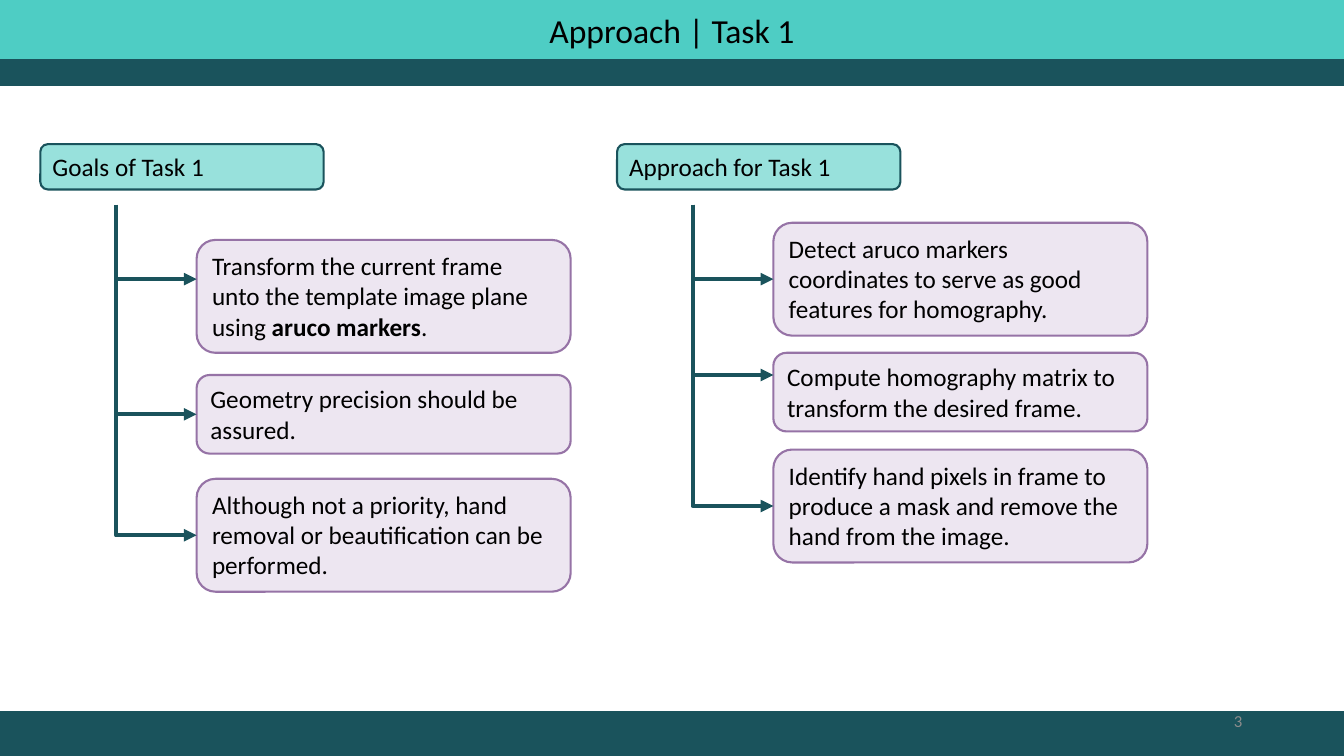
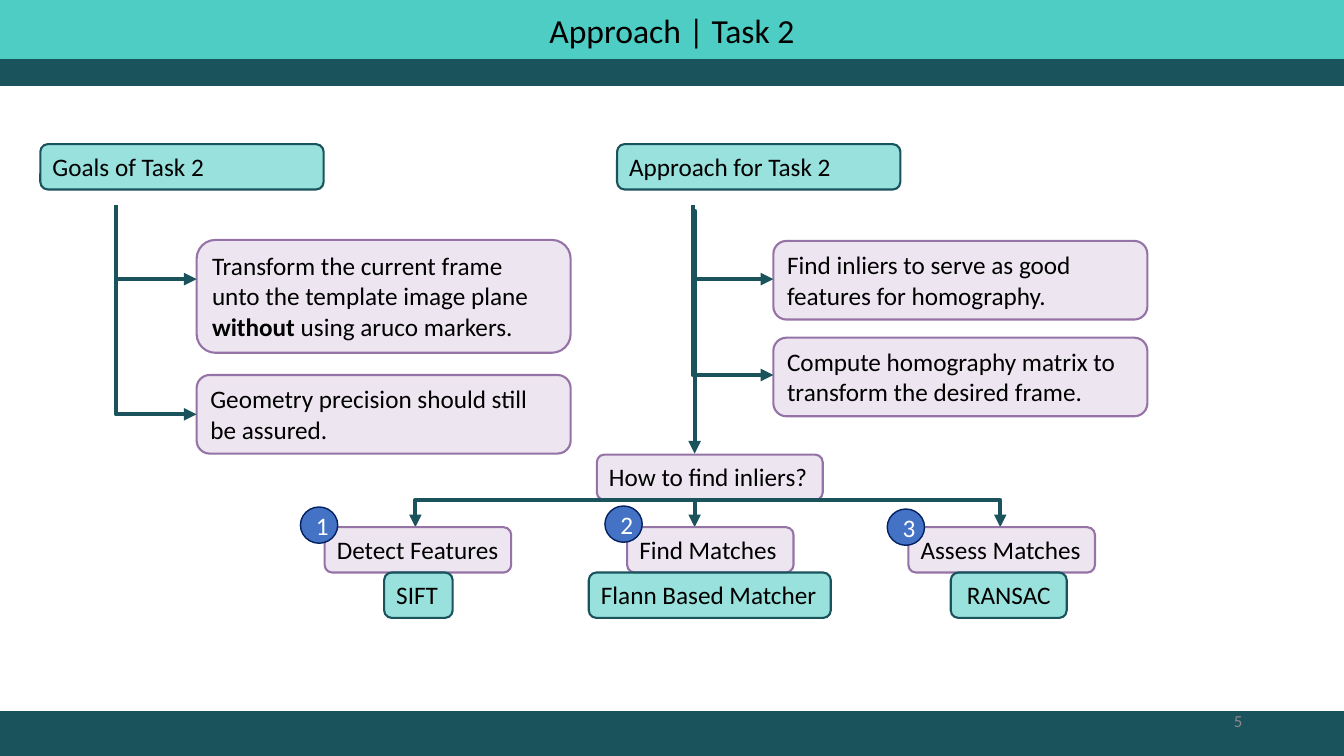
from pptx import Presentation
from pptx.dml.color import RGBColor as Rgb
from pptx.enum.shapes import MSO_CONNECTOR as Link, MSO_SHAPE as Kind
from pptx.enum.text import MSO_ANCHOR as Anchor, MSO_AUTO_SIZE as Fit, PP_ALIGN as Align
from pptx.oxml.ns import qn
from pptx.oxml.xmlchemy import OxmlElement as Node
from pptx.util import Inches, Pt

HEX = {
    "teal": "4ECDC4", "dark": "1A535C", "lilac": "E1D5E7", "plum": "9673A6",
    "blue": "4472C4", "navy": "002060", "black": "000000", "white": "FFFFFF",
    "grey": "8C8C8C",
}
FRAME = {"word_wrap": True, "auto_size": Fit.NONE}
LOOKS = {
    "head": ("teal", "dark"),
    "note": ("lilac", "plum"),
}
WIDE, TALL = 13.33, 7.5
CHIP = 0.45
HEIGHTS = {2: 0.78, 3: 1.12}
START, REACH = 2.03, 1.69
STEM, RAIL, ROW = 6.88, 4.96, 5.23

TASKS = [
    ("Approach | Task 1", "3", [
        (0.4, "Goals of Task 1", [
            (2.38, 3, 2.77, "Transform the current frame unto the template image plane using *aruco markers*."),
            (3.72, 2, 4.11, "Geometry precision should be assured."),
            (4.75, 3, 5.31, "Although not a priority, hand removal or beautification can be performed."),
        ]),
        (6.12, "Approach for Task 1", [
            (2.21, 3, 2.77, "Detect aruco markers coordinates to serve as good features for homography."),
            (3.5, 2, 3.72, "Compute homography matrix to transform the desired frame."),
            (4.46, 3, 5.02, "Identify hand pixels in frame to produce a mask and remove the hand from the image."),
        ]),
    ]),
    ("Approach | Task 2", "5", [
        (0.4, "Goals of Task 2", [
            (2.38, 3, 2.77, "Transform the current frame unto the template image plane *without* using aruco markers."),
            (3.72, 2, 4.11, "Geometry precision should still be assured."),
        ]),
        (6.12, "Approach for Task 2", [
            (2.39, 2, 2.77, "Find inliers to serve as good features for homography."),
            (3.35, 2, 3.72, "Compute homography matrix to transform the desired frame."),
        ]),
    ]),
]
STEPS = [
    ("1", 2.98, 5.03, (6.93, 4.12), ("Detect Features", 3.22, 1.85), ("SIFT", 3.81, 0.68, Align.LEFT)),
    ("2", 6, 5.02, (STEM, STEM + 0.01), ("Find Matches", 6.22, 1.65), ("Flann Based Matcher", 5.84, 2.4, Align.LEFT)),
    ("3", 8.8, 5.05, (5.64, 9.92), ("Assess Matches", 9.01, 1.85), ("RANSAC", 9.43, 1.15, Align.CENTER)),
]


def tint(name):
    """Return the named colour."""
    return Rgb.from_string(HEX[name])


def assign(thing, values):
    """Set each named value on an object."""
    for key, value in values.items():
        setattr(thing, key, value)


def paint(shape, fill, edge, weight=1):
    """Give a shape its fill and outline."""
    shape.fill.solid()
    shape.fill.fore_color.rgb = tint(fill)
    shape.line.color.rgb = tint(edge)
    shape.line.width = Pt(weight)


def fade(shape, share):
    """Make a solid fill partly clear."""
    alpha = Node("a:alpha")
    alpha.set("val", str(share * 1000))
    shape._element.spPr.find(qn("a:solidFill"))[0].append(alpha)


def write(shape, text, size=18, color="black", align=Align.LEFT, anchor=Anchor.MIDDLE):
    """Fill a shape with text, with starred parts in bold."""
    assign(shape.text_frame, {**FRAME, "vertical_anchor": anchor})
    para = shape.text_frame.paragraphs[0]
    para.alignment = align
    for index, part in enumerate(text.split("*")):
        run = para.add_run()
        run.text = part
        assign(run.font, {"name": "Calibri", "size": Pt(size), "bold": index % 2 == 1})
        run.font.color.rgb = tint(color)


def draw(slide, kind, left, top, width, height, fill, edge, weight=1):
    """Add a painted shape without shadow."""
    shape = slide.shapes.add_shape(kind, *map(Inches, (left, top, width, height)))
    shape.shadow.inherit = False
    paint(shape, fill, edge, weight)
    return shape


def card(slide, look, text, left, top, width, height=CHIP, align=Align.LEFT):
    """Add a rounded text box in one of the looks."""
    shape = draw(slide, Kind.ROUNDED_RECTANGLE, left, top, width, height, *LOOKS[look], 1.5)
    fade(shape, 58)
    write(shape, text, align=align, anchor=Anchor.TOP)
    if height == CHIP and align == Align.LEFT:
        shape.text_frame.margin_right = Inches(0.05)


def bend(slide, ends):
    """Add an elbow arrow that runs across, then down."""
    link = slide.shapes.add_connector(Link.ELBOW, *map(Inches, ends))
    link.line.color.rgb = tint("dark")
    link.line.width = Pt(3)
    tail = Node("a:tailEnd")
    tail.set("type", "triangle")
    link.line._get_or_add_ln().append(tail)
    props = link._element.spPr
    props.find(qn("a:prstGeom")).set("prst", "bentConnector2")
    props.append(Node("a:effectLst"))
    return link


def hang(slide, left, top, right, level):
    """Add an elbow arrow that runs down, then right."""
    width, height = right - left, level - top
    shift = (width - height) / 2
    near, high = left + shift, top - shift
    link = bend(slide, (near, high, near + height, high + width))
    turn = link._element.spPr.find(qn("a:xfrm"))
    turn.set("rot", "16200000")
    turn.set("flipH", "1")


def base(deck, title, number):
    """Add a slide with its title, bands and number."""
    slide = deck.slides.add_slide(deck.slide_layouts[5])
    head = slide.shapes.title
    assign(head, {"left": 0, "top": 0, "width": Inches(WIDE), "height": Inches(0.59)})
    paint(head, "teal", "teal")
    write(head, title, 24, align=Align.CENTER)
    for top, height in ((0.59, 0.26), (7.06, 0.43)):
        draw(slide, Kind.RECTANGLE, 0, top, WIDE, height, "dark", "dark")
    box = slide.shapes.add_textbox(*map(Inches, (9.42, 6.95, 3, 0.4)))
    write(box, number, 12, "grey", Align.RIGHT)
    return slide


def tree(slide, left, head, items):
    """Add a heading with notes hung from a trunk."""
    trunk, side = left + 0.75, left + 1.55
    card(slide, "head", head, left, 1.43, 2.81)
    for top, rows, level, text in items:
        card(slide, "note", text, side, top, 3.71, HEIGHTS[rows])
        hang(slide, trunk, max(START, level - REACH), side, level)


def flow(slide):
    """Add the question and the three steps below it."""
    bend(slide, (STEM, 2.09, STEM + 0.01, 4.5))
    card(slide, "note", "How to find inliers?", 5.92, 4.51, 2.24)
    for number, left, top, (start, drop), (name, edge, span), (tool, near, width, align) in STEPS:
        bend(slide, (start, RAIL, drop, ROW))
        card(slide, "note", name, edge, ROW, span)
        card(slide, "head", tool, near, ROW + CHIP, width, align=align)
        badge = draw(slide, Kind.OVAL, left, top, 0.37, 0.36, "blue", "navy")
        write(badge, number, color="white", align=Align.CENTER)


def main():
    """Build and save the deck."""
    deck = Presentation()
    assign(deck, {"slide_width": Inches(WIDE), "slide_height": Inches(TALL)})
    for title, number, trees in TASKS:
        slide = base(deck, title, number)
        for left, head, items in trees:
            tree(slide, left, head, items)
    flow(slide)
    deck.save("out.pptx")


if __name__ == "__main__":
    main()
